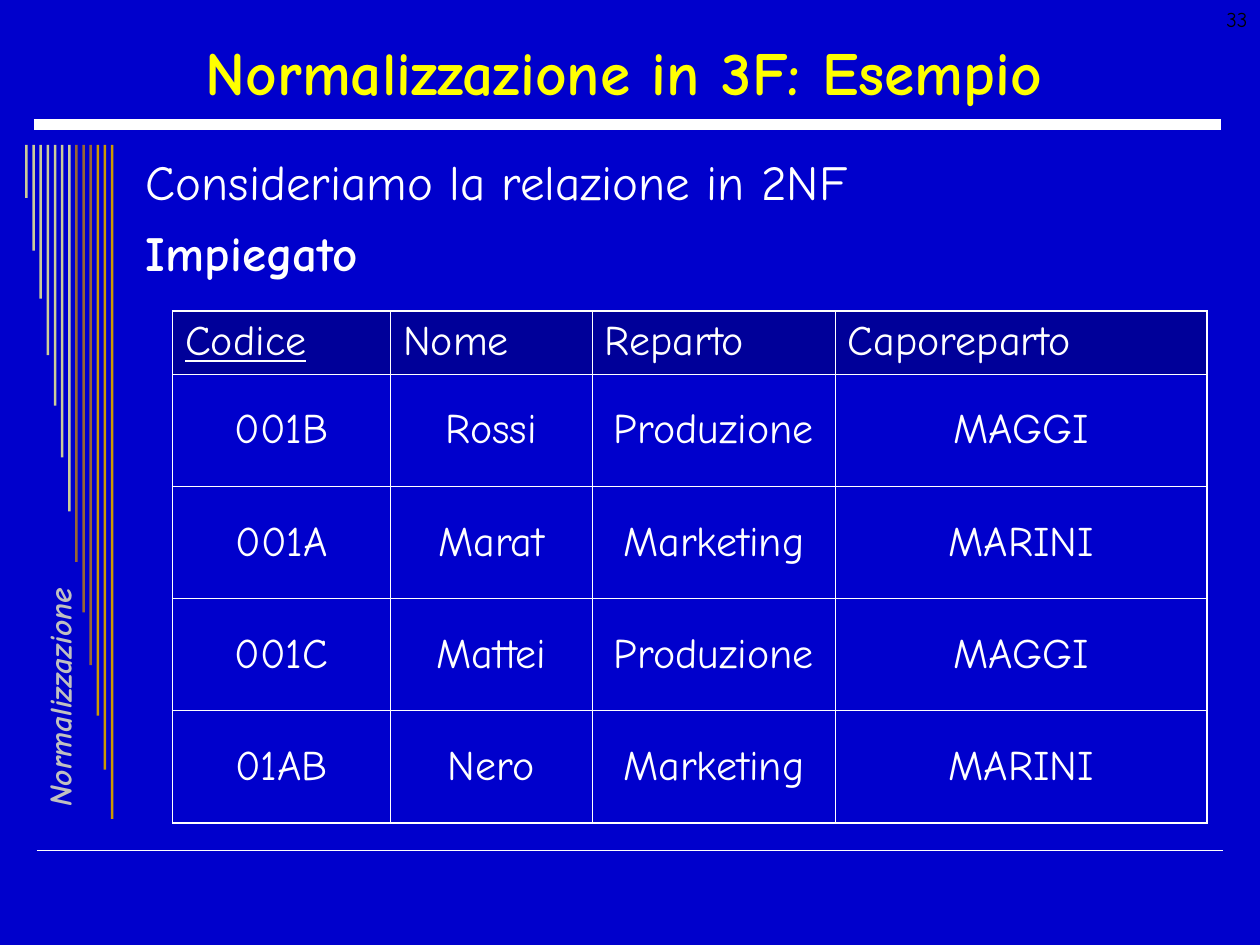
from lxml import etree
from pptx import Presentation
from pptx.dml.color import RGBColor
from pptx.enum.shapes import MSO_CONNECTOR as Connector, MSO_SHAPE as Shape
from pptx.enum.text import MSO_ANCHOR as Anchor, MSO_AUTO_SIZE as AutoSize, PP_ALIGN as Align
from pptx.oxml.ns import qn
from pptx.util import Inches, Pt


def color(value):
    return RGBColor.from_string(value)


def add_line_fill(line, value):
    fill = etree.SubElement(line, qn("a:solidFill"))
    etree.SubElement(fill, qn("a:srgbClr"), val=value)


def write(paragraph, text, font="Comic Neue", size=24, fill="FFFFFF", bold=False,
          italic=False, underline=False, align=Align.LEFT, before=0, outline=None):
    paragraph.alignment = align
    paragraph.space_before = Pt(before)
    run = paragraph.add_run()
    run.text = text
    run.font.name = font
    run.font.size = Pt(size)
    run.font.bold = bold
    run.font.italic = italic
    run.font.underline = underline
    run.font.color.rgb = color(fill)
    if outline:
        line = etree.Element(qn("a:ln"), w=str(Pt(0.75)))
        add_line_fill(line, outline)
        run.font._element.insert(0, line)


class SlideBuilder:
    background = "0000CC"
    header_fill = "000099"
    line_color = "FFFFFF"
    outer_border, inner_border = 1.08, 0.45

    def __init__(self, presentation):
        self.slide = presentation.slides.add_slide(presentation.slide_layouts[5])
        self.slide.background.fill.solid()
        self.slide.background.fill.fore_color.rgb = color(self.background)

    def title(self, text, left, top, width, height, **style):
        shape = self.slide.shapes.title
        shape.left, shape.top = Inches(left), Inches(top)
        shape.width, shape.height = Inches(width), Inches(height)
        frame = shape.text_frame
        frame.auto_size = AutoSize.NONE
        frame.vertical_anchor = Anchor.MIDDLE
        write(frame.paragraphs[0], text, **style)

    def text(self, left, top, width, height, rotation=0, wrap=True):
        shape = self.slide.shapes.add_textbox(
            Inches(left), Inches(top), Inches(width), Inches(height))
        shape.rotation = rotation
        shape.text_frame.word_wrap = wrap
        return shape.text_frame

    def rule(self, left, right, y, weight):
        line = self.slide.shapes.add_connector(
            Connector.STRAIGHT, Inches(left), Inches(y), Inches(right), Inches(y))
        line.line.color.rgb = color(self.line_color)
        line.line.width = Pt(weight)
        etree.SubElement(line._element.spPr, qn("a:effectLst"))

    def bar(self, left, top, width, height, fill):
        shape = self.slide.shapes.add_shape(
            Shape.RECTANGLE, Inches(left), Inches(top), Inches(width), Inches(height))
        shape.shadow.inherit = False
        shape.fill.solid()
        shape.fill.fore_color.rgb = color(fill)
        shape.line.fill.background()

    def borders(self, cell, outer_sides):
        properties = cell._tc.get_or_add_tcPr()
        for index, side in enumerate("LRTB"):
            weight = self.outer_border if side in outer_sides else self.inner_border
            line = etree.Element(qn(f"a:ln{side}"), w=str(Pt(weight)))
            add_line_fill(line, self.line_color)
            properties.insert(index, line)

    def table(self, rows, left, top, widths, heights):
        table = self.slide.shapes.add_table(
            len(rows), len(widths), Inches(left), Inches(top),
            Inches(sum(widths)), Inches(sum(heights))).table
        table.first_row = table.horz_banding = False
        for column, width in zip(table.columns, widths):
            column.width = Inches(width)
        last_row, last_column = len(rows) - 1, len(widths) - 1
        for r, values in enumerate(rows):
            table.rows[r].height = Inches(heights[r])
            for c, value in enumerate(values):
                cell = table.cell(r, c)
                header = r == 0
                if header:
                    cell.fill.solid()
                    cell.fill.fore_color.rgb = color(self.header_fill)
                else:
                    cell.fill.background()
                cell.vertical_anchor = Anchor.TOP if header else Anchor.MIDDLE
                write(cell.text_frame.paragraphs[0], value,
                      underline=header and c == 0,
                      align=Align.LEFT if header else Align.CENTER)
                edges = {"L": c == 0, "R": c == last_column, "T": header, "B": r == last_row}
                self.borders(cell, [side for side, outer in edges.items() if outer])


def main():
    presentation = Presentation()
    presentation.slide_width, presentation.slide_height = Inches(10), Inches(7.5)
    builder = SlideBuilder(presentation)

    # Horizontal rules
    builder.rule(0.29, 9.71, 6.75, 1)
    builder.rule(0.27, 9.69, 0.99, 6)

    # Hanging bars, each longer than the one before
    bar_heights = [0.42, 0.84, 1.22, 1.67, 2.07, 2.48, 2.91,
                   3.31, 3.71, 4.13, 4.53, 4.96, 5.35]
    bar_fills = ["CCCC99"] * 7 + ["996633"] * 3 + ["CC9900"] * 3
    bar_step = 0.68 / (len(bar_heights) - 1)
    for index, (height, fill) in enumerate(zip(bar_heights, bar_fills)):
        builder.bar(0.2 + index * bar_step, 1.15, 0.02, height, fill)

    # Vertical section name
    section = builder.text(-0.75, 5.24, 2.28, 0.24, rotation=270, wrap=False)
    write(section.paragraphs[0], "Normalizzazione", size=18, fill="C0C0C0",
          bold=True, italic=True, outline="333300")

    # Title and introduction
    builder.title("Normalizzazione in 3F: Esempio", 0.35, 0.21, 9.21, 0.71,
                  size=35, fill="FFFF00", bold=True, align=Align.CENTER)
    body = builder.text(1.06, 1.15, 8.52, 5.51)
    write(body.paragraphs[0], "Consideriamo la relazione in 2NF", size=28)
    write(body.add_paragraph(), "Impiegato", size=28, bold=True, before=7)

    # Employee relation
    employees = [
        ["Codice", "Nome", "Reparto", "Caporeparto"],
        ["001B", "Rossi", "Produzione", "MAGGI"],
        ["001A", "Marat", "Marketing", "MARINI"],
        ["001C", "Mattei", "Produzione", "MAGGI"],
        ["01AB", "Nero", "Marketing", "MARINI"],
    ]
    builder.table(employees, 1.37, 2.47, [1.73, 1.6, 1.93, 2.95], [0.5] + [0.89] * 4)

    # Slide number
    number = builder.text(7.67, 0, 2.33, 0.5)
    write(number.paragraphs[0], "33", size=12, fill="000000", align=Align.RIGHT)

    presentation.save("out.pptx")


if __name__ == "__main__":
    main()
